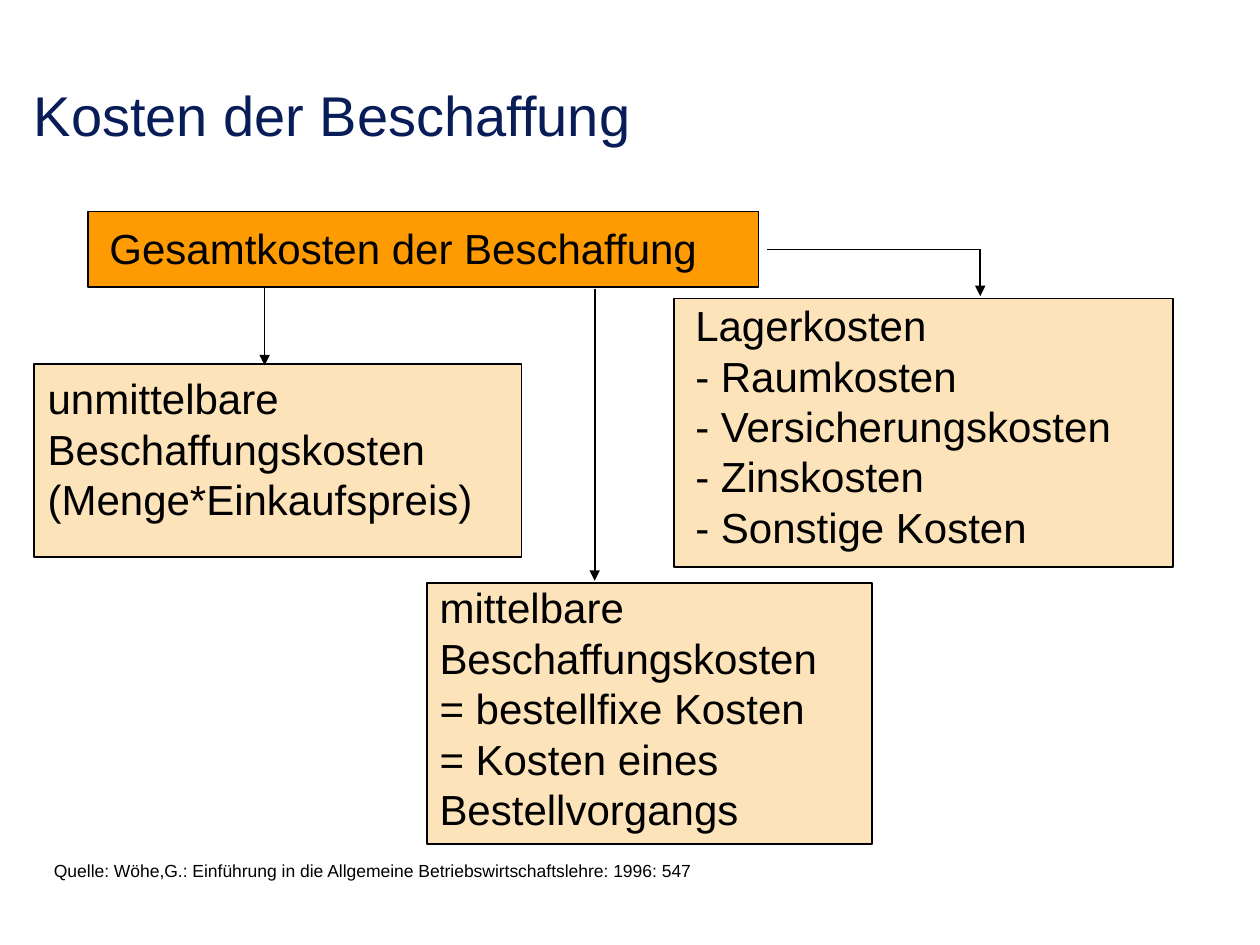
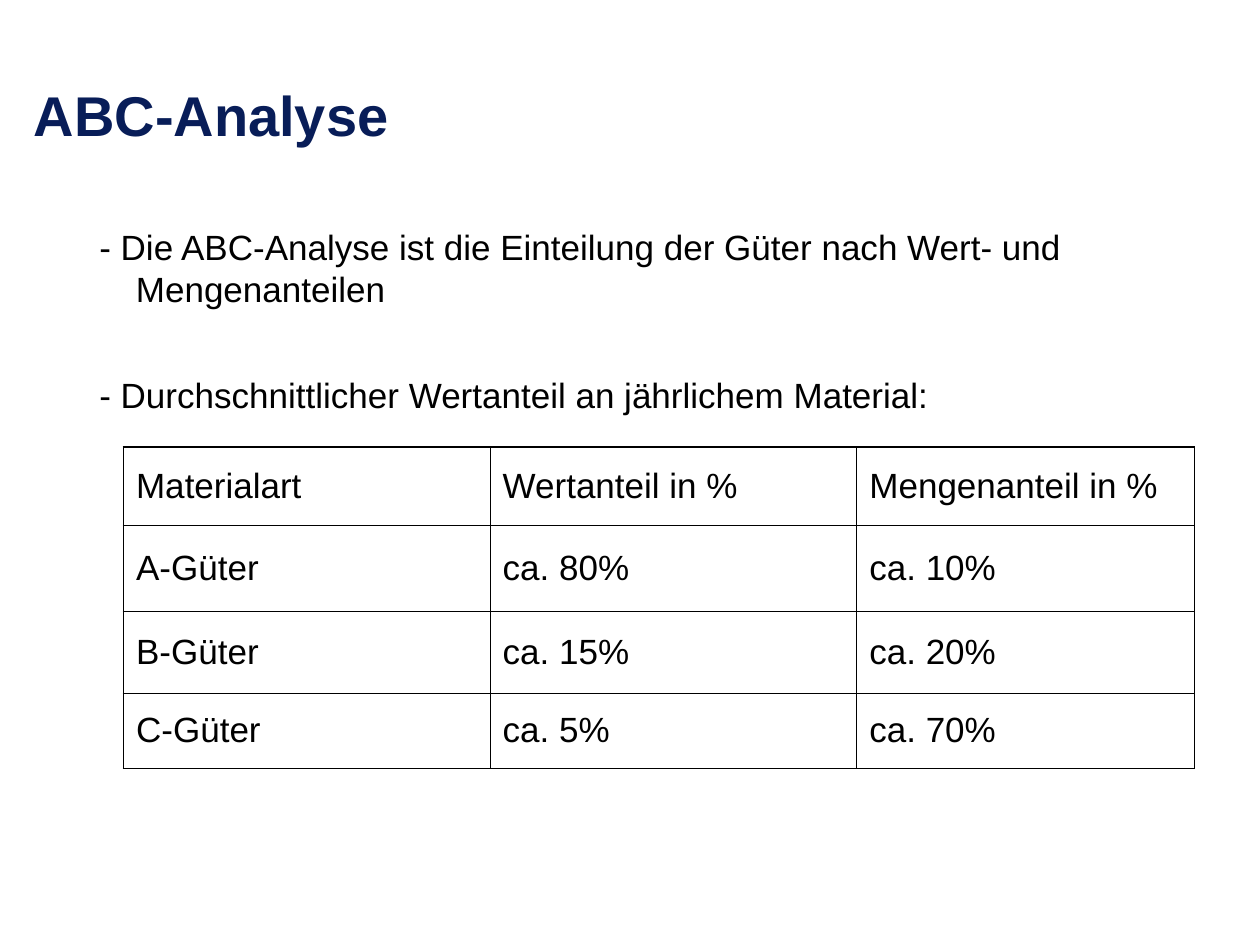
from lxml import etree
from pptx import Presentation
from pptx.dml.color import RGBColor
from pptx.enum.shapes import MSO_CONNECTOR, MSO_SHAPE
from pptx.enum.text import MSO_ANCHOR
from pptx.oxml.ns import qn
from pptx.util import Inches, Pt

RECTANGLE = MSO_SHAPE.RECTANGLE
STRAIGHT = MSO_CONNECTOR.STRAIGHT
TOP, MIDDLE, BOTTOM = MSO_ANCHOR.TOP, MSO_ANCHOR.MIDDLE, MSO_ANCHOR.BOTTOM

COLORS = {"title": "081D58", "ink": "000000", "total": "FE9B03", "part": "FDE3BA"}
FONT = "Arial"
LEADING = 1.2
OUTER_LINE, INNER_LINE = 1.08, 0.45

COST_TITLE = "Kosten der Beschaffung"
COST_BOXES = [
    {"fill": "part", "frame": (0.27, 2.89, 3.87, 1.53), "text_area": (0.28, 2.91, 3.86, 1.3),
     "lines": ["unmittelbare Beschaffungskosten", "(Menge*Einkaufspreis)"]},
    {"fill": "part", "frame": (5.35, 2.37, 3.96, 2.13), "text_area": (5.42, 2.33, 3.86, 2.1),
     "lines": ["Lagerkosten", "- Raumkosten", "- Versicherungskosten",
               "- Zinskosten", "- Sonstige Kosten"]},
    {"fill": "part", "frame": (3.39, 4.63, 3.53, 2.07), "text_area": (3.39, 4.57, 3.86, 2.1),
     "lines": ["mittelbare Beschaffungskosten", "= bestellfixe Kosten",
               "= Kosten eines Bestellvorgangs"]},
    {"fill": "total", "frame": (0.7, 1.68, 5.32, 0.6), "text_area": (0.77, 1.72, 6.64, 0.5),
     "lines": ["Gesamtkosten der Beschaffung"]},
]
COST_LINES = [
    ((2.1, 2.28), (2.1, 2.9), True),
    ((4.72, 2.29), (4.72, 4.61), True),
    ((6.09, 1.98), (7.78, 1.98), False),
    ((7.78, 1.98), (7.78, 2.35), True),
]
SOURCE = "Quelle: Wöhe,G.: Einführung in die Allgemeine Betriebswirtschaftslehre: 1996: 547"

ABC_TITLE = "ABC-Analyse"
ABC_POINTS = [
    "- Die ABC-Analyse ist die Einteilung der Güter nach Wert- und Mengenanteilen",
    "- Durchschnittlicher Wertanteil an jährlichem Material:",
]
ABC_ROWS = [
    ("Materialart", "Wertanteil in %", "Mengenanteil in %"),
    ("A-Güter", "ca. 80%", "ca. 10%"),
    ("B-Güter", "ca. 15%", "ca. 20%"),
    ("C-Güter", "ca. 5%", "ca. 70%"),
]
ABC_COLUMN_WIDTHS = [2.91, 2.91, 2.68]
ABC_ROW_HEIGHTS = [0.62, 0.68, 0.65, 0.6]


def color(name):
    return RGBColor.from_string(COLORS[name])


def inches(values):
    return [Inches(value) for value in values]


def add_span(para, text, size, ink="ink", bold=False):
    span = para.add_run()
    span.text = text
    span.font.name = FONT
    span.font.size = Pt(size)
    span.font.bold = bold
    span.font.color.rgb = color(ink)


def add_text(page, area, lines, size, ink="ink", bold=False, anchor=TOP, leading=None, gap=0):
    frame = page.shapes.add_textbox(*inches(area)).text_frame
    frame.word_wrap = True
    frame.vertical_anchor = anchor
    for index, line in enumerate(lines):
        para = frame.paragraphs[0] if index == 0 else frame.add_paragraph()
        if leading:
            para.line_spacing = Pt(size * leading)
        if index and gap:
            para.space_before = Pt(gap)
        add_span(para, line, size, ink, bold)
    return frame


def add_page(deck, title, bold=False):
    page = deck.slides.add_slide(deck.slide_layouts[6])
    add_text(page, (0.17, 0.12, 9.64, 1.1), [title], 32, "title", bold, BOTTOM)
    return page


def add_box(page, frame, fill):
    box = page.shapes.add_shape(RECTANGLE, *inches(frame))
    box.shadow.inherit = False
    box.fill.solid()
    box.fill.fore_color.rgb = color(fill)
    box.line.color.rgb = color("ink")
    box.line.width = Pt(1)


def add_line(page, start, end, arrow):
    line = page.shapes.add_connector(STRAIGHT, *inches(start + end))
    line.line.color.rgb = color("ink")
    line.line.width = Pt(1)
    if arrow:
        etree.SubElement(line.line._get_or_add_ln(), qn("a:tailEnd"), type="triangle")
    etree.SubElement(line._element.spPr, qn("a:effectLst"))


def set_borders(cell, outer_sides):
    properties = cell._tc.get_or_add_tcPr()
    for index, (side, outer) in enumerate(outer_sides.items()):
        width = Pt(OUTER_LINE if outer else INNER_LINE)
        border = etree.Element(qn(f"a:ln{side}"), w=str(int(width)))
        fill = etree.SubElement(border, qn("a:solidFill"))
        etree.SubElement(fill, qn("a:srgbClr"), val=COLORS["ink"])
        properties.insert(index, border)


def add_share_table(page):
    last_row, last_column = len(ABC_ROWS) - 1, len(ABC_COLUMN_WIDTHS) - 1
    area = (0.98, 3.55, sum(ABC_COLUMN_WIDTHS), sum(ABC_ROW_HEIGHTS))
    table = page.shapes.add_table(last_row + 1, last_column + 1, *inches(area)).table
    table.first_row = table.horz_banding = False
    for column, width in zip(table.columns, ABC_COLUMN_WIDTHS):
        column.width = Inches(width)
    for row, height in zip(table.rows, ABC_ROW_HEIGHTS):
        row.height = Inches(height)
    for r, texts in enumerate(ABC_ROWS):
        for c, text in enumerate(texts):
            cell = table.cell(r, c)
            cell.vertical_anchor = MIDDLE
            cell.fill.background()
            set_borders(cell, {"L": c == 0, "R": c == last_column,
                               "T": r == 0, "B": r == last_row})
            add_span(cell.text_frame.paragraphs[0], text, 20)


def build_cost_page(deck):
    page = add_page(deck, COST_TITLE)
    for part in COST_BOXES:
        add_box(page, part["frame"], part["fill"])
    for part in COST_BOXES:
        add_text(page, part["text_area"], part["lines"], 24, leading=LEADING)
    add_text(page, (0.33, 6.78, 5.34, 0.26), [SOURCE], 10)
    for start, end, arrow in COST_LINES:
        add_line(page, start, end, arrow)


def build_abc_page(deck):
    page = add_page(deck, ABC_TITLE, bold=True)
    add_share_table(page)
    points = add_text(page, (0.69, 1.74, 9.13, 1.75), ABC_POINTS, 20, leading=LEADING, gap=36.6)
    for para in points.paragraphs:
        properties = para._p.get_or_add_pPr()
        properties.set("marL", str(Inches(0.29)))
        properties.set("indent", str(-Inches(0.29)))


def main():
    deck = Presentation()
    deck.slide_width, deck.slide_height = Inches(10), Inches(7.5)
    build_cost_page(deck)
    build_abc_page(deck)
    deck.save("out.pptx")


if __name__ == "__main__":
    main()
